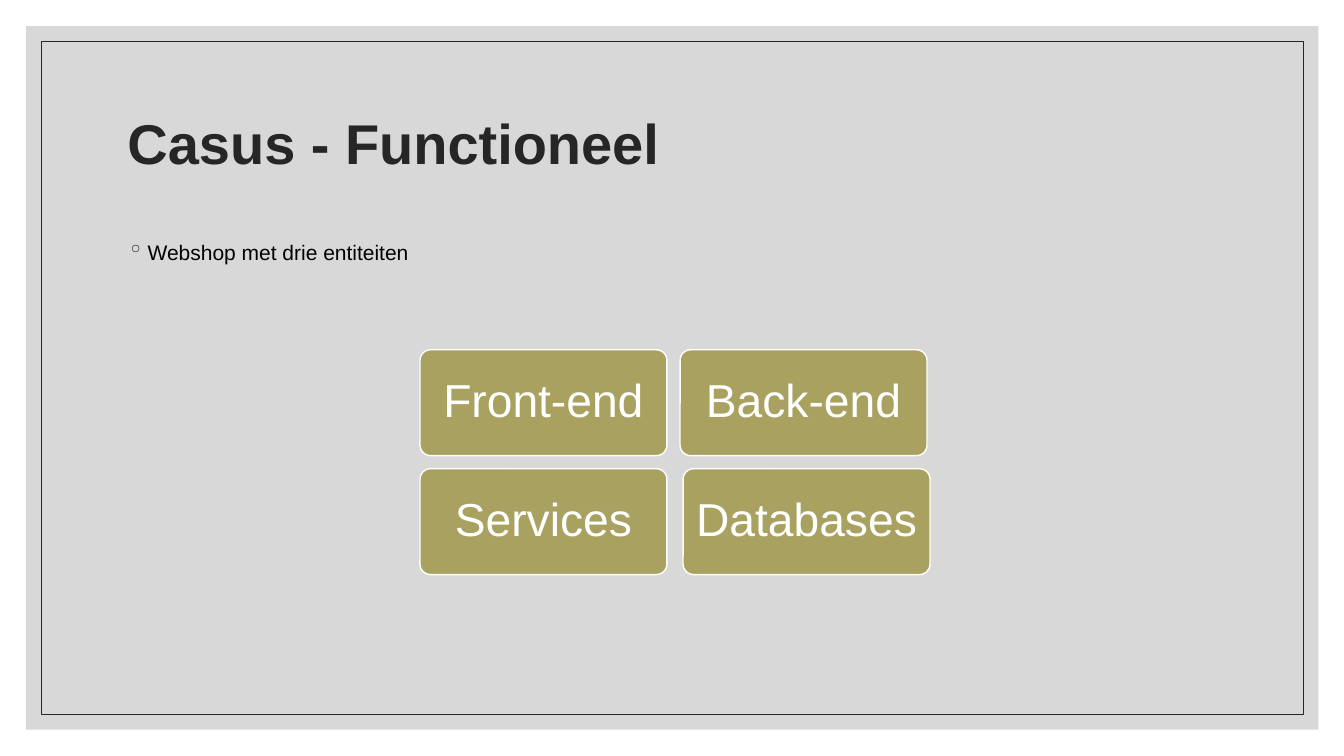
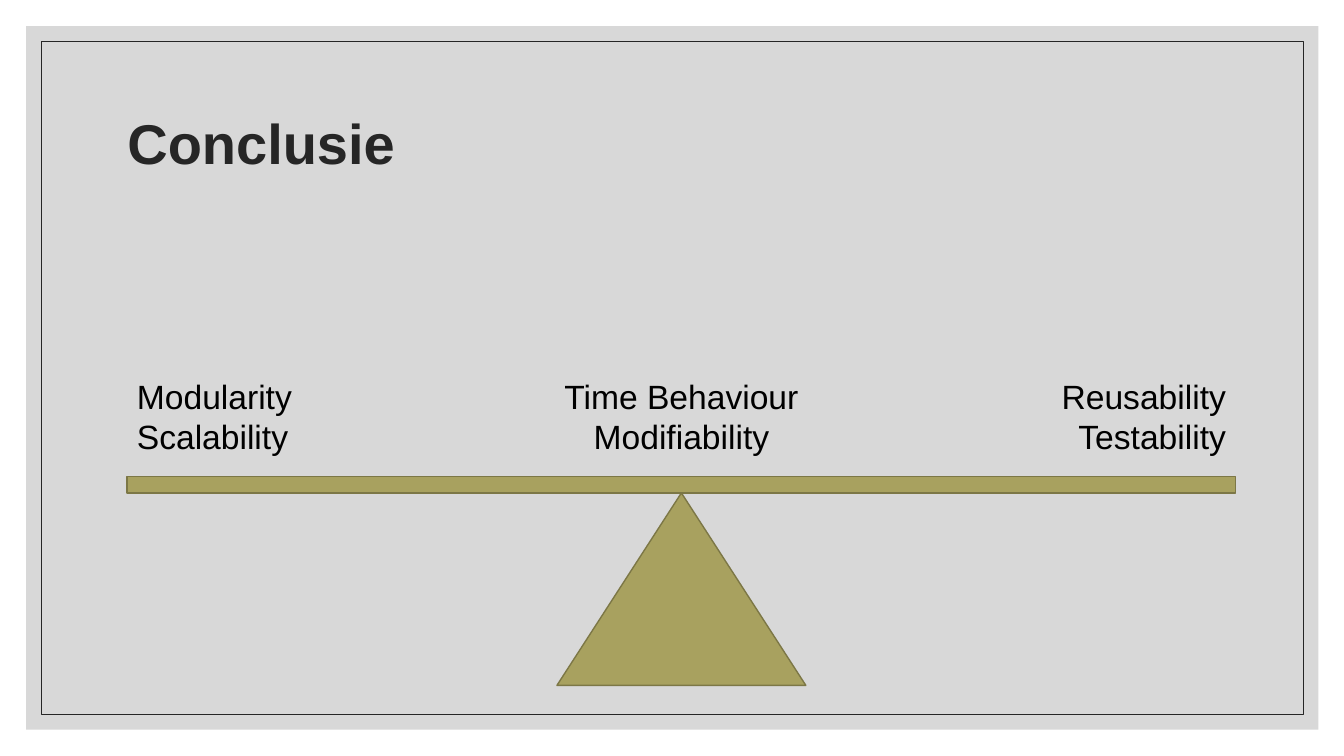
"""Build two slides, a grid of cards and a balance, inside a shared frame."""
from dataclasses import dataclass
from typing import Optional

from lxml import etree
from pptx import Presentation
from pptx import util as u
from pptx.dml.color import RGBColor
from pptx.enum import shapes, text
from pptx.oxml.ns import qn
from pptx.shapes.autoshape import Shape
from pptx.slide import Slide

COLS, ROWS = 160, 90
CELL = u.Inches(7.5) / ROWS
FONT = "Arial"

WHITE = RGBColor(0xFF, 0xFF, 0xFF)
BLACK = RGBColor(0x00, 0x00, 0x00)
DARK = RGBColor(0x26, 0x26, 0x26)
GREY = RGBColor(0xBF, 0xBF, 0xBF)
OLIVE = RGBColor(0xA8, 0xA1, 0x5F)
MOSS = RGBColor(0x7C, 0x77, 0x46)

KIND = shapes.MSO_SHAPE
SIDE = text.PP_ALIGN
MIDDLE = text.MSO_ANCHOR.MIDDLE


@dataclass(frozen=True)
class Box:
    """A place on the grid, in columns and rows."""
    x: float
    y: float
    w: float
    h: float

    def place(self) -> tuple[int, int, int, int]:
        """Return the place in slide units."""
        return tuple(round(n * CELL) for n in (self.x, self.y, self.w, self.h))


@dataclass(frozen=True)
class Style:
    """The look of a text."""
    size: float
    color: RGBColor
    side: SIDE = SIDE.LEFT
    bold: bool = False
    space: Optional[float] = None


@dataclass(frozen=True)
class Card:
    """A card at a column and row of the card grid."""
    name: str
    col: int
    row: int
    shift: float = 0


@dataclass(frozen=True)
class Label:
    """A label set at a share of the free width of the beam."""
    words: str
    share: float
    width: float
    side: SIDE


PANEL = Box(3.12, 3.12, 153.84, 83.76)
FRAME = Box(4.92, 4.92, 150.24, 80.16)
TITLE = Box(14, 8.4, 132, 18)
BODY = Box(14, 27.6, 132, 50.52)
FIRST = Box(50, 41.64, 29.4, 12.6)
GAP = 1.56
BEAM = Box(15.12, 56.76, 132, 1.92)
FOOT_W, FOOT_H = 29.64, 22.92
LABEL_Y, LABEL_H = 44.16, 10.92

HEAD = Style(40, DARK, bold=True, space=0.9)
POINT = Style(15, BLACK, space=1.1)
CARD = Style(33, WHITE, SIDE.CENTER, space=0.9)

CARDS = (
    Card("Front-end", 0, 0),
    Card("Back-end", 1, 0),
    Card("Services", 0, 1),
    Card("Databases", 1, 1, 0.36),
)
LABELS = (
    Label("Modularity\nScalability", 0, 26.64, SIDE.LEFT),
    Label("Time Behaviour\nModifiability", 0.5, 34.08, SIDE.CENTER),
    Label("Reusability\nTestability", 1, 42.96, SIDE.RIGHT),
)


def draw(slide: Slide, kind: KIND, box: Box, fill: Optional[RGBColor],
         line: Optional[RGBColor], width: float = 1) -> Shape:
    """Draw a preset shape with a plain fill and line."""
    shape = slide.shapes.add_shape(kind, *box.place())
    shape.shadow.inherit = False
    if fill is None:
        shape.fill.background()
    else:
        shape.fill.solid()
        shape.fill.fore_color.rgb = fill
    if line is None:
        shape.line.fill.background()
    else:
        shape.line.color.rgb = line
        shape.line.width = u.Pt(width)
    return shape


def put(shape: Shape, words: str, style: Style) -> None:
    """Fill a shape with text in one style."""
    shape.text_frame.text = words
    for para in shape.text_frame.paragraphs:
        para.alignment = style.side
        if style.space:
            para.line_spacing = style.space
        for run in para.runs:
            run.font.name = FONT
            run.font.size = u.Pt(style.size)
            run.font.bold = style.bold
            run.font.color.rgb = style.color


def write(slide: Slide, box: Box, words: str, style: Style) -> Shape:
    """Add a text box that wraps."""
    shape = slide.shapes.add_textbox(*box.place())
    shape.text_frame.word_wrap = True
    put(shape, words, style)
    return shape


def fade(shape: Shape, share: float) -> None:
    """Make the fill of a shape partly clear."""
    tint = shape.fill._xPr.find(qn("a:solidFill"))[0]
    etree.SubElement(tint, qn("a:alpha")).set("val", str(round(share * 100000)))


def mark(shape: Shape, sign: str) -> None:
    """Give the first line of a text a hanging bullet."""
    para = shape.text_frame.paragraphs[0]
    para.space_before = u.Pt(9)
    props = para._p.get_or_add_pPr()
    indent = u.Inches(0.2)
    props.set("marL", str(indent))
    props.set("indent", str(-indent))
    tint = etree.SubElement(props, qn("a:buClr"))
    etree.SubElement(tint, qn("a:srgbClr")).set("val", str(DARK))
    etree.SubElement(props, qn("a:buChar")).set("char", sign)


def start(deck: Presentation, title: str) -> Slide:
    """Add a slide with the shared panel, frame and title."""
    slide = deck.slides.add_slide(deck.slide_layouts[6])
    fade(draw(slide, KIND.RECTANGLE, PANEL, GREY, None), 0.6)
    draw(slide, KIND.RECTANGLE, FRAME, None, DARK, 0.5)
    head = write(slide, TITLE, title, HEAD)
    head.text_frame.vertical_anchor = MIDDLE
    return slide


def add_card(slide: Slide, card: Card) -> None:
    """Draw one card of the grid."""
    box = Box(FIRST.x + card.col * (FIRST.w + GAP) + card.shift,
              FIRST.y + card.row * (FIRST.h + GAP), FIRST.w, FIRST.h)
    shape = draw(slide, KIND.ROUNDED_RECTANGLE, box, OLIVE, WHITE)
    shape.adjustments[0] = 0.1
    frame = shape.text_frame
    frame.margin_left = frame.margin_right = u.Inches(0.09)
    frame.margin_top = frame.margin_bottom = u.Inches(0.07)
    frame.vertical_anchor = MIDDLE
    frame.word_wrap = False
    put(shape, card.name, CARD)


def add_label(slide: Slide, label: Label) -> None:
    """Write one label above the beam."""
    left = BEAM.x + (BEAM.w - label.width) * label.share
    write(slide, Box(left, LABEL_Y, label.width, LABEL_H), label.words,
          Style(24, BLACK, label.side))


def add_case(deck: Presentation) -> None:
    """Build the slide with the four cards."""
    slide = start(deck, "Casus - Functioneel")
    mark(write(slide, BODY, "Webshop met drie entiteiten", POINT), "◦")
    for card in CARDS:
        add_card(slide, card)


def add_end(deck: Presentation) -> None:
    """Build the slide with the balance."""
    slide = start(deck, "Conclusie")
    foot = Box(BEAM.x + (BEAM.w - FOOT_W) / 2, BEAM.y + BEAM.h, FOOT_W, FOOT_H)
    draw(slide, KIND.ISOSCELES_TRIANGLE, foot, OLIVE, MOSS)
    draw(slide, KIND.RECTANGLE, BEAM, OLIVE, MOSS)
    for label in LABELS:
        add_label(slide, label)


def main() -> None:
    """Build and save the deck."""
    deck = Presentation()
    deck.slide_width = round(COLS * CELL)
    deck.slide_height = round(ROWS * CELL)
    add_case(deck)
    add_end(deck)
    deck.save("out.pptx")


if __name__ == "__main__":
    main()
